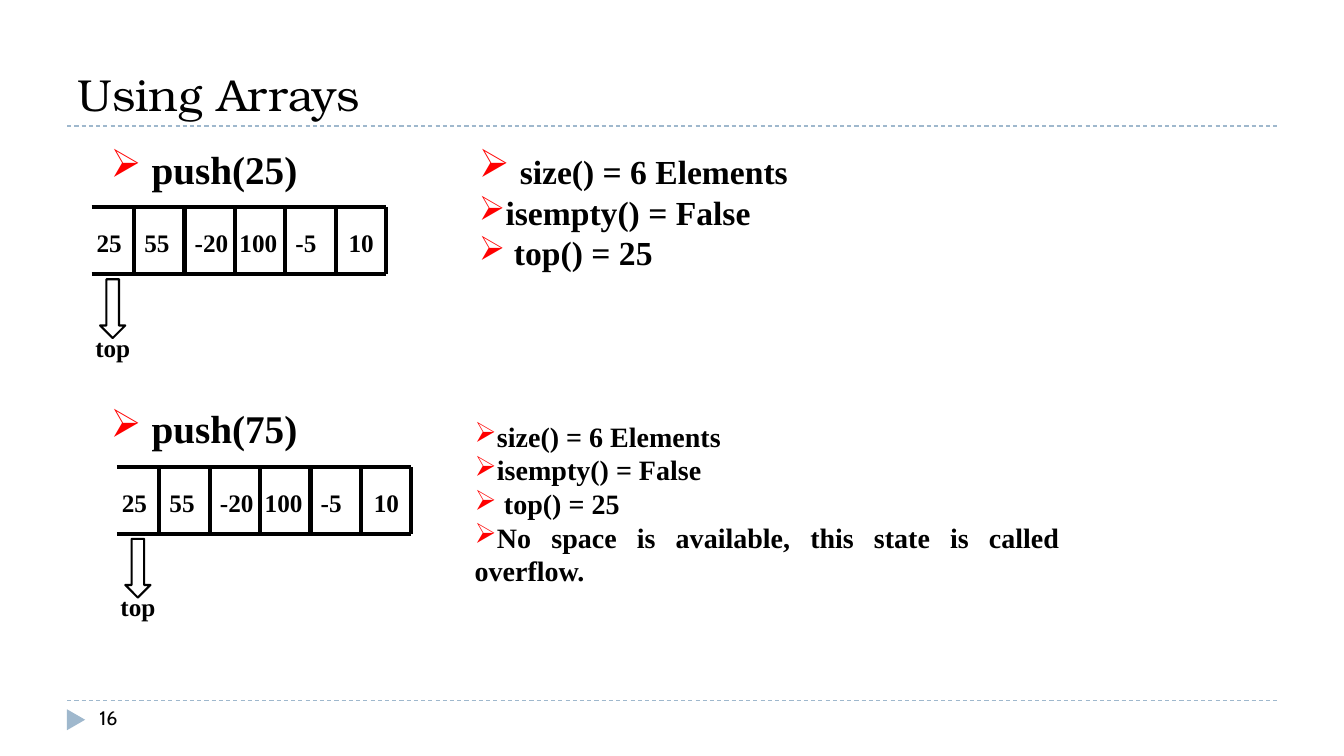
from lxml import etree
from pptx import Presentation
from pptx.dml.color import RGBColor
from pptx.enum.dml import MSO_LINE
from pptx.enum.shapes import MSO_CONNECTOR, MSO_SHAPE
from pptx.enum.text import MSO_ANCHOR, MSO_AUTO_SIZE, PP_ALIGN
from pptx.oxml.ns import qn
from pptx.util import Pt

STRAIGHT = MSO_CONNECTOR.STRAIGHT
DASH = MSO_LINE.DASH
TRIANGLE = MSO_SHAPE.ISOSCELES_TRIANGLE
DOWN_ARROW = MSO_SHAPE.DOWN_ARROW
BOTTOM = MSO_ANCHOR.BOTTOM
NO_AUTOFIT = MSO_AUTO_SIZE.NONE
LEFT = PP_ALIGN.LEFT
JUSTIFY = PP_ALIGN.JUSTIFY

BLACK = RGBColor(0x00, 0x00, 0x00)
RED = RGBColor(0xFF, 0x00, 0x00)
PALE_BLUE = RGBColor(0x9F, 0xB8, 0xCD)

TITLE_FONT = "TeX Gyre Bonum"
BODY_FONT = "Times New Roman"
NUMBER_FONT = "Cabin"

# Each stack value with the left edge of its label
STACK = [("25", 62), ("55", 96), ("-20", 132), ("100", 164), ("-5", 204), ("10", 242)]
CELL_WIDTH = 36


class SlideBuilder:
    def __init__(self, slide):
        self.slide = slide
        self.shapes = slide.shapes

    def style(self, paragraph, size, font=BODY_FONT, bold=True):
        paragraph.font.size = Pt(size)
        paragraph.font.name = font
        paragraph.font.bold = bold
        paragraph.font.color.rgb = BLACK

    def title(self, text, left, top, width, height):
        title = self.shapes.title
        title.left, title.top = Pt(left), Pt(top)
        title.width, title.height = Pt(width), Pt(height)
        frame = title.text_frame
        frame.text = text
        frame.auto_size = NO_AUTOFIT
        frame.vertical_anchor = BOTTOM
        frame.paragraphs[0].alignment = LEFT
        self.style(frame.paragraphs[0], 32, TITLE_FONT, False)

    def line(self, start, end, color=BLACK, width=3, dash=None):
        line = self.shapes.add_connector(STRAIGHT, *map(Pt, start + end))
        line.line.color.rgb = color
        line.line.width = Pt(width)
        if dash:
            line.line.dash_style = dash
        properties = line._element.find(qn("p:spPr"))
        etree.SubElement(properties, qn("a:effectLst"))

    def shape(self, kind, left, top, width, height, fill=None, outline=None):
        shape = self.shapes.add_shape(kind, Pt(left), Pt(top), Pt(width), Pt(height))
        shape.shadow.inherit = False
        if fill:
            shape.fill.solid()
            shape.fill.fore_color.rgb = fill
        else:
            shape.fill.background()
        if outline:
            shape.line.color.rgb = outline
            shape.line.width = Pt(1.5)
        else:
            shape.line.fill.background()
        return shape

    def text(self, text, left, top, width, height, size=18, font=BODY_FONT, bold=True):
        box = self.shapes.add_textbox(Pt(left), Pt(top), Pt(width), Pt(height))
        frame = box.text_frame
        frame.word_wrap = True
        frame.text = text
        for paragraph in frame.paragraphs:
            self.style(paragraph, size, font, bold)
        return frame

    def bullets(self, lines, left, top, width, height, size):
        frame = self.text("\n".join(lines), left, top, width, height, size)
        for paragraph in frame.paragraphs:
            paragraph.alignment = JUSTIFY
            properties = paragraph._p.get_or_add_pPr()
            properties.set("marL", "0")
            properties.set("indent", "0")
            color = etree.Element(qn("a:buClr"))
            etree.SubElement(color, qn("a:srgbClr"), val=str(RED))
            character = etree.Element(qn("a:buChar"), char="➢")
            # Bullet settings come before the default run properties
            properties.insert(0, color)
            properties.insert(1, character)
        return frame

    def stack(self, dx, dy):
        """Draw the array, open on the left, with its pointer to the top."""
        left, right = 65.5 + dx, 275.75 + dx
        top, bottom = 148 + dy, 196 + dy
        for y in (bottom, top):
            self.line((left, y), (right, y))
        for index in range(len(STACK)):
            x = right - index * CELL_WIDTH
            self.line((x, bottom), (x, top))
        for value, label_left in STACK:
            self.text(value, label_left + dx, 159 + dy, 42, 29)
        self.shape(DOWN_ARROW, 71.5 + dx, 199.5 + dy, 18, 42, outline=BLACK)
        self.text("top", 61 + dx, 233.5 + dy, 42, 30)


def main():
    presentation = Presentation()
    presentation.slide_width = Pt(960)
    presentation.slide_height = Pt(540)
    builder = SlideBuilder(presentation.slides.add_slide(presentation.slide_layouts[5]))

    for y in (500.4, 90):
        builder.line((48, y), (912, y), PALE_BLUE, 0.75, DASH)
    marker = builder.shape(TRIANGLE, 46.8, 507.6, 15, 13, fill=PALE_BLUE)
    marker.rotation = 90
    builder.title("Using Arrays", 48, 12, 864, 78)
    builder.text("16", 64, 500.4, 208, 29, 14, NUMBER_FONT, False)

    for call, dx, dy in ((" push(25)", 0, 0), (" push(75)", 18, 185.4)):
        builder.bullets([call], 72, 100 + dy, 174, 42, 28)
        builder.stack(dx, dy)

    size, empty, top = "size() = 6 Elements", "isempty() = False", " top() = 25"
    results = builder.bullets(["", empty, top], 335, 100, 258, 138, 24)
    for text, points in ((" ", 28), (size, 24)):
        run = results.paragraphs[0].add_run()
        run.text = text
        run.font.size = Pt(points)
    overflow = "No space is available, this state is called overflow."
    builder.bullets([size, empty, top, overflow], 332, 296, 432, 144, 20)

    presentation.save("out.pptx")


if __name__ == "__main__":
    main()
